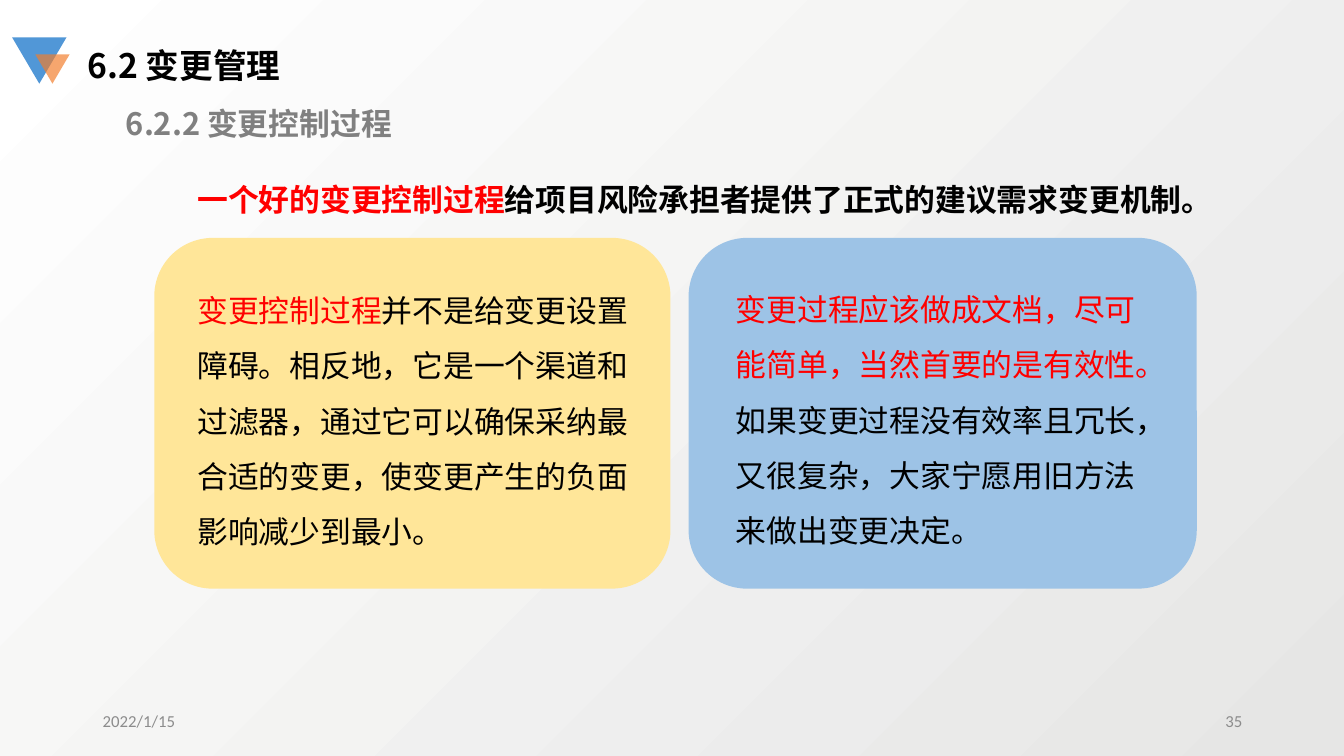
from dataclasses import dataclass

from lxml import etree
from pptx import Presentation
from pptx.dml.color import RGBColor
from pptx.enum.shapes import MSO_SHAPE
from pptx.enum.text import MSO_ANCHOR, MSO_AUTO_SIZE, PP_ALIGN
from pptx.oxml.ns import qn
from pptx.util import Inches, Pt

TRIANGLE = MSO_SHAPE.ISOSCELES_TRIANGLE
ROUNDED = MSO_SHAPE.ROUNDED_RECTANGLE
TOP, MIDDLE = MSO_ANCHOR.TOP, MSO_ANCHOR.MIDDLE
LEFT, RIGHT = PP_ALIGN.LEFT, PP_ALIGN.RIGHT
NO_FIT = MSO_AUTO_SIZE.NONE
CJK, LATIN = "Noto Sans CJK SC", "Calibri"
RED, BLACK, GREY, PALE_GREY = "FF0000", "000000", "808080", "8C8C8C"

Box = tuple[float, float, float, float]


@dataclass
class Block:
    box: Box
    runs: list[tuple[str, str]]
    size: int = 22
    font: str = CJK
    bold: bool = False
    spacing: float = 1.0
    align: PP_ALIGN = LEFT
    anchor: MSO_ANCHOR = TOP


@dataclass
class Figure:
    kind: MSO_SHAPE
    box: Box
    color: str
    rotation: int = 0
    alpha: int = 100


FIGURES = [
    Figure(TRIANGLE, (0.12, 0.37, 0.54, 0.46), "5197D7", 180),
    Figure(TRIANGLE, (0.35, 0.54, 0.34, 0.29), "F37D2A", 180, 68),
    Figure(ROUNDED, (1.53, 2.36, 5.12, 3.48), "FFE699"),
    Figure(ROUNDED, (6.83, 2.36, 5.04, 3.48), "9DC3E6"),
]

TITLE = Block((0.77, 0.4, 4.41, 0.5), [("6.2 变更管理", BLACK)], 24, bold=True)

BLOCKS = [
    Block((1.15, 0.99, 7.38, 0.47), [("6.2.2 变更控制过程", GREY)], bold=True),
    Block((1.86, 1.56, 10.47, 0.57),
          [("一个好的变更控制过程", RED),
           ("给项目风险承担者提供了正式的建议需求变更机制。", BLACK)],
          bold=True, spacing=1.5),
    Block((1.86, 2.66, 4.65, 2.81),
          [("变更控制过程", RED),
           ("并不是给变更设置障碍。相反地，它是一个渠道和过滤器，通过它可以确保"
            "采纳最合适的变更，使变更产生的负面影响减少到最小。", BLACK)],
          font=LATIN, spacing=1.5),
    Block((7.2, 2.65, 4.43, 2.81),
          [("变更过程应该做成文档，尽可能简单，当然首要的是有效性。", RED),
           ("如果变更过程没有效率且冗长，又很复杂，大家宁愿用旧方法来做出变更决定。",
            BLACK)],
          font=LATIN, spacing=1.5),
    Block((0.92, 6.95, 3, 0.4), [("2022/1/15", PALE_GREY)], 12, LATIN,
          anchor=MIDDLE),
    Block((9.42, 6.95, 3, 0.4), [("35", PALE_GREY)], 12, LATIN,
          align=RIGHT, anchor=MIDDLE),
]


def rgb(value: str) -> RGBColor:
    return RGBColor.from_string(value)


def set_all(target, values: dict) -> None:
    for name, value in values.items():
        setattr(target, name, value)


def draw_figure(s, figure: Figure) -> None:
    sp = s.shapes.add_shape(figure.kind, *map(Inches, figure.box))
    sp.shadow.inherit = False
    sp.rotation = figure.rotation
    sp.fill.solid()
    sp.fill.fore_color.rgb = rgb(figure.color)
    sp.line.fill.background()
    if figure.alpha < 100:
        color = sp.fill._xPr.find(".//" + qn("a:srgbClr"))
        etree.SubElement(color, qn("a:alpha"), val=str(figure.alpha * 1000))


def write_block(sp, block: Block) -> None:
    left, top, width, height = map(Inches, block.box)
    set_all(sp, {"left": left, "top": top, "width": width, "height": height})
    tf = sp.text_frame
    set_all(tf, {"word_wrap": True, "auto_size": NO_FIT,
                 "vertical_anchor": block.anchor})
    p = tf.paragraphs[0]
    set_all(p, {"alignment": block.align, "line_spacing": block.spacing,
                "space_before": Pt(0)})
    for text, color in block.runs:
        r = p.add_run()
        r.text = text
        set_all(r.font, {"size": Pt(block.size), "bold": block.bold,
                         "name": block.font})
        r.font.color.rgb = rgb(color)
        etree.SubElement(r.font._element, qn("a:ea"), typeface=CJK)


def fill_background(s) -> None:
    fill = s.background.fill
    fill.gradient()
    fill.gradient_angle = 135
    for stop, color in zip(fill.gradient_stops, ("E6E6E5", "FFFFFF")):
        stop.color.rgb = rgb(color)


def main() -> None:
    prs = Presentation()
    set_all(prs, {"slide_width": Inches(13.33), "slide_height": Inches(7.5)})
    s = prs.slides.add_slide(prs.slide_layouts[5])
    fill_background(s)
    for figure in FIGURES:
        draw_figure(s, figure)
    write_block(s.shapes.title, TITLE)
    for block in BLOCKS:
        write_block(s.shapes.add_textbox(*map(Inches, block.box)), block)
    prs.save("out.pptx")


if __name__ == "__main__":
    main()
